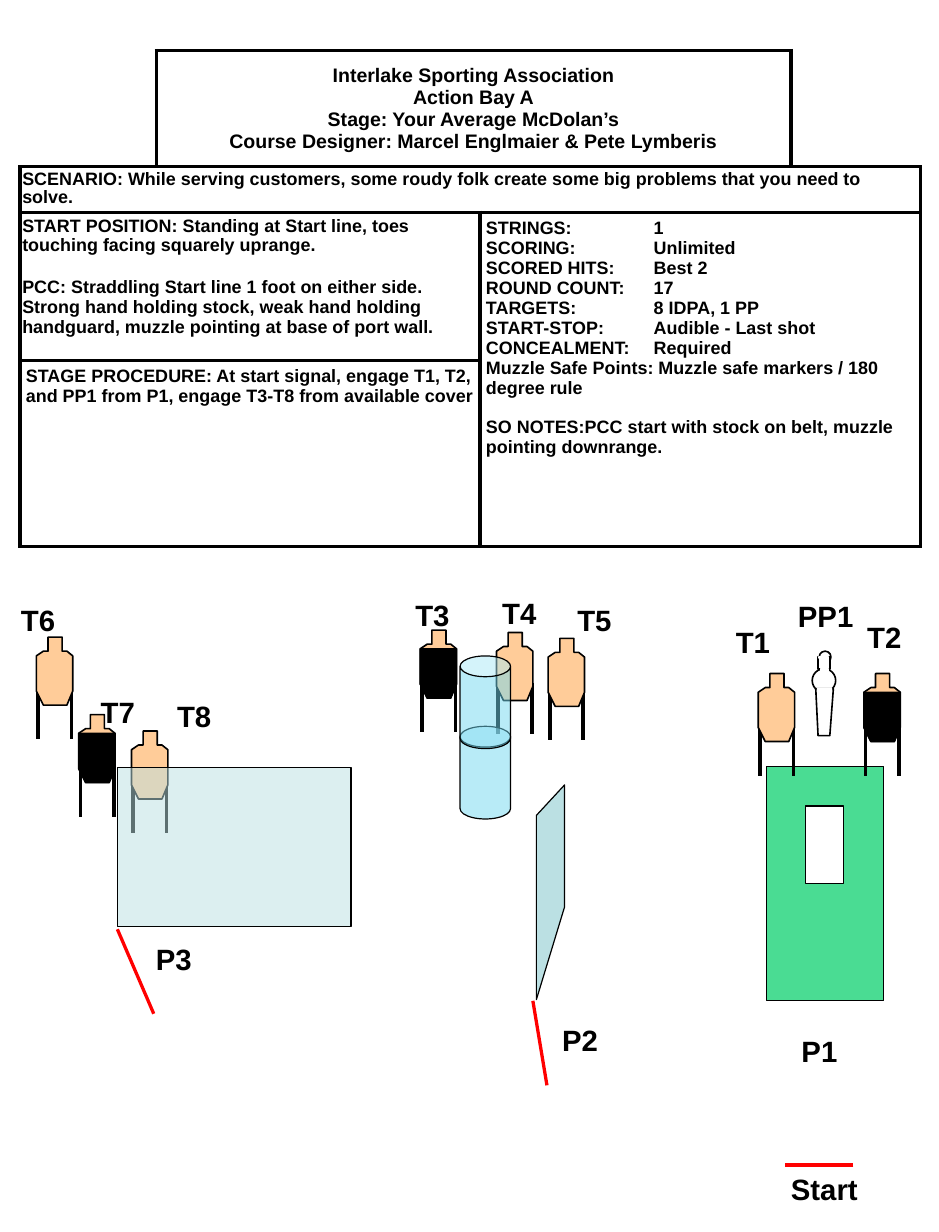
from lxml import etree
from pptx import Presentation
from pptx.dml.color import RGBColor
from pptx.enum.shapes import MSO_CONNECTOR, MSO_SHAPE
from pptx.enum.text import MSO_ANCHOR, MSO_AUTO_SIZE, PP_ALIGN
from pptx.oxml.ns import qn
from pptx.util import Inches, Pt

LINE = MSO_CONNECTOR.STRAIGHT
OVAL, RECT, CAN = MSO_SHAPE.OVAL, MSO_SHAPE.RECTANGLE, MSO_SHAPE.CAN
MIDDLE, TOP = MSO_ANCHOR.MIDDLE, MSO_ANCHOR.TOP
CENTER, LEFT = PP_ALIGN.CENTER, PP_ALIGN.LEFT
GROW = MSO_AUTO_SIZE.SHAPE_TO_FIT_TEXT

FONT = "Arial"
BLACK, WHITE, RED = "000000", "FFFFFF", "FF0000"
TAN, GLASS, WATER, GREEN = "FFCC99", "BBE0E3", "73D9F1", "4ADC93"


def color(hex_string):
    return RGBColor.from_string(hex_string)


class Stage:
    """Holds the style and draws on the current slide."""

    def __init__(self, s):
        self.s = s
        self.shapes = s.shapes

    def paint(self, sp, fill, line=BLACK, width=1, alpha=None):
        sp.shadow.inherit = False
        sp.fill.solid()
        sp.fill.fore_color.rgb = color(fill)
        if alpha:
            clr = sp.fill._xPr.find(qn("a:solidFill")).find(qn("a:srgbClr"))
            etree.SubElement(clr, qn("a:alpha")).set("val", str(alpha * 1000))
        if line:
            sp.line.color.rgb = color(line)
            sp.line.width = Pt(width)
        else:
            sp.line.fill.background()

    def shape(self, kind, x, y, w, h, fill, **style):
        sp = self.shapes.add_shape(kind, Inches(x), Inches(y), Inches(w), Inches(h))
        self.paint(sp, fill, **style)
        return sp

    def outline(self, contours, fill, **style):
        builder = None
        for contour in contours:
            first, *rest = [(Inches(x), Inches(y)) for x, y in contour]
            if builder is None:
                builder = self.shapes.build_freeform(*first)
            else:
                builder.move_to(*first)
            builder.add_line_segments(rest, close=True)
        self.paint(builder.convert_to_shape(), fill, **style)

    def line(self, x1, y1, x2, y2, stroke, width):
        c = self.shapes.add_connector(LINE, Inches(x1), Inches(y1), Inches(x2), Inches(y2))
        c.line.color.rgb = color(stroke)
        c.line.width = Pt(width)
        etree.SubElement(c._element.spPr, qn("a:effectLst"))

    def format(self, p, size):
        p.font.size = Pt(size)
        for r in p.runs:
            r.font.name, r.font.size, r.font.bold = FONT, Pt(size), True
            r.font.color.rgb = color(BLACK)

    def label(self, text, x, y, w=0.58):
        tf = self.shapes.add_textbox(Inches(x), Inches(y), Inches(w), Inches(0.4)).text_frame
        tf.word_wrap = True
        tf.auto_size = GROW
        tf.text = text
        self.format(tf.paragraphs[0], 18)

    def target(self, x, y, hard_cover=False):
        for dx in (0.015, 0.3):
            self.line(x + dx, y + 0.43, x + dx, y + 0.87, BLACK, 2.25)
        body = [(0.1, 0), (0.22, 0), (0.22, 0.12), (0.26, 0.12), (0.31, 0.16), (0.31, 0.46),
                (0.26, 0.58), (0.06, 0.58), (0, 0.46), (0, 0.16), (0.06, 0.12), (0.1, 0.12)]
        self.outline([[(x + dx, y + dy) for dx, dy in body]], TAN)
        if hard_cover:
            cover = [(0, 0.16), (0.31, 0.16)] + body[5:9]
            self.outline([[(x + dx, y + dy) for dx, dy in cover]], BLACK, width=0)

    def popper(self, x, y):
        self.shape(OVAL, x + 0.06, y, 0.1, 0.1, WHITE)
        self.shape(OVAL, x, y + 0.15, 0.2, 0.2, WHITE)
        self.outline([[(x + 0.03, y + 0.32), (x + 0.18, y + 0.32),
                       (x + 0.15, y + 0.72), (x + 0.05, y + 0.72)]], WHITE)
        self.shape(RECT, x + 0.05, y + 0.05, 0.1, 0.1, WHITE)
        # White patches hide the seams between the parts
        self.shape(RECT, x + 0.04, y + 0.31, 0.13, 0.02, WHITE, line=None)
        self.shape(RECT, x + 0.07, y + 0.15, 0.07, 0.02, WHITE, line=WHITE)
        self.shape(RECT, x + 0.06, y + 0.05, 0.08, 0.01, WHITE, line=WHITE)

    def table(self, x, y, cols, rows):
        frame = self.shapes.add_table(len(rows), len(cols), Inches(x), Inches(y),
                                      Inches(sum(cols)), Inches(sum(rows)))
        t = frame.table
        t.first_row = t.horz_banding = False
        for column, width in zip(t.columns, cols):
            column.width = Inches(width)
        for row, height in zip(t.rows, rows):
            row.height = Inches(height)
        return t

    def border(self, cell, hidden=""):
        tc_pr = cell._tc.get_or_add_tcPr()
        for side in "LRTB":
            ln = etree.SubElement(tc_pr, qn("a:ln" + side), w=str(Pt(2.25)))
            if side in hidden:
                etree.SubElement(ln, qn("a:noFill"))
            else:
                fill = etree.SubElement(ln, qn("a:solidFill"))
                etree.SubElement(fill, qn("a:srgbClr"), val=BLACK)
        cell.fill.solid()
        cell.fill.fore_color.rgb = color(WHITE)

    def fill_cell(self, cell, items, size=11, inset=(0.05, 0.05), align=LEFT,
                  anchor=TOP, spacing=None, tab=None):
        """Each item is (text, space before in points)."""
        cell.margin_left = cell.margin_right = Inches(inset[0])
        cell.margin_top = cell.margin_bottom = Inches(inset[1])
        cell.vertical_anchor = anchor
        tf = cell.text_frame
        for i, (text, before) in enumerate(items):
            p = tf.add_paragraph() if i else tf.paragraphs[0]
            p.text = text
            p.alignment = align
            p.space_before = Pt(before)
            if spacing:
                p.line_spacing = spacing
            if tab and "\t" in text:
                tabs = etree.SubElement(p._p.get_or_add_pPr(), qn("a:tabLst"))
                etree.SubElement(tabs, qn("a:tab"), pos=str(Inches(tab)), algn="l")
            self.format(p, size)


def main():
    prs = Presentation()
    prs.slide_width, prs.slide_height = Inches(8), Inches(10.5)
    stage = Stage(prs.slides.add_slide(prs.slide_layouts[6]))

    # Stage description table
    t = stage.table(0.17, 0.43, [1.16, 2.76, 2.65, 1.1], [0.99, 0.39, 1.26, 1.59])
    hidden = {(0, 0): "LT", (0, 3): "RT"}
    for row in range(4):
        for col in range(4):
            stage.border(t.cell(row, col), hidden.get((row, col), ""))
    for first, last in [((0, 1), (0, 2)), ((1, 0), (1, 3)), ((2, 0), (2, 1)),
                        ((2, 2), (3, 3)), ((3, 0), (3, 1))]:
        t.cell(*first).merge(t.cell(*last))

    heading = ["Interlake Sporting Association", "Action Bay A",
               "Stage: Your Average McDolan’s",
               "Course Designer: Marcel Englmaier & Pete Lymberis"]
    stage.fill_cell(t.cell(0, 1), [("\v".join(heading), 0)], size=12, align=CENTER, anchor=MIDDLE)
    stage.fill_cell(t.cell(1, 0), [(
        "SCENARIO: While serving customers, some roudy folk create some big problems "
        "that you need to solve.", 0)], inset=(0.02, 0.04), spacing=0.9)
    stage.fill_cell(t.cell(2, 0), [
        ("START POSITION: Standing at Start line, toes touching facing squarely uprange.", 0),
        ("PCC: Straddling Start line 1 foot on either side. Strong hand holding stock, weak hand "
         "holding handguard, muzzle pointing at base of port wall.", 13)], inset=(0.02, 0.03))
    facts = [("STRINGS:", "1"), ("SCORING:", "Unlimited"), ("SCORED HITS:", "Best 2"),
             ("ROUND COUNT:", "17"), ("TARGETS:", "8 IDPA, 1 PP"),
             ("START-STOP:", "Audible - Last shot"), ("CONCEALMENT:", "Required")]
    stage.fill_cell(t.cell(2, 2), [(f"{name}\t{value}", 0) for name, value in facts] + [
        ("Muzzle Safe Points: Muzzle safe markers / 180 degree rule", 0),
        ("SO NOTES:PCC start with stock on belt, muzzle pointing downrange.", 12)], tab=1.43)
    stage.fill_cell(t.cell(3, 0), [(
        "STAGE PROCEDURE: At start signal, engage T1, T2, and PP1 from P1, "
        "engage T3-T8 from available cover", 0)])

    # Port wall with its opening
    stage.outline([[(6.53, 6.53), (7.53, 6.53), (7.53, 8.53), (6.53, 8.53)],
                   [(6.86, 6.87), (7.19, 6.87), (7.19, 7.53), (6.86, 7.53)]], GREEN, width=0)

    # Targets, in order T5, T1, T4, T8, T6, then those with hard cover T2, T3, T7
    for x, y in [(4.67, 5.44), (6.46, 5.74), (4.23, 5.39), (1.12, 6.23), (0.31, 5.43)]:
        stage.target(x, y)
    for x, y in [(7.36, 5.74), (3.58, 5.37), (0.67, 6.09)]:
        stage.target(x, y, hard_cover=True)
    stage.popper(6.92, 5.55)

    # Glass walls and barrels
    stage.outline([[(4.81, 6.69), (4.81, 7.73), (4.57, 8.52), (4.57, 6.95)]], GLASS, width=0.75)
    stage.shape(RECT, 1, 6.54, 1.99, 1.36, GLASS, width=0.75, alpha=50)
    for y in (6.19, 5.59):
        barrel = stage.shape(CAN, 3.92, y, 0.43, 0.79, WATER, width=0.75, alpha=50)
        barrel.adjustments[0] = 0.413

    # Fault lines and start line
    for ends in [(4.66, 9.25, 4.54, 8.53), (1.31, 8.64, 1, 7.92), (7.27, 9.93, 6.69, 9.93)]:
        stage.line(*ends, RED, 2)

    # Labels
    for text, x, y in [("P1", 6.73, 8.76), ("P2", 4.69, 8.66), ("P3", 1.23, 7.97),
                       ("T1", 6.17, 5.27), ("T2", 7.29, 5.23), ("T3", 3.44, 5.04),
                       ("T4", 4.18, 5.02), ("T5", 4.82, 5.08), ("T6", 0.08, 5.08),
                       ("T7", 0.76, 5.87), ("T8", 1.41, 5.9)]:
        stage.label(text, x, y)
    stage.label("PP1", 6.7, 5.05, 0.73)
    stage.label("Start", 6.64, 9.93, 0.94)

    prs.save("out.pptx")


if __name__ == "__main__":
    main()
